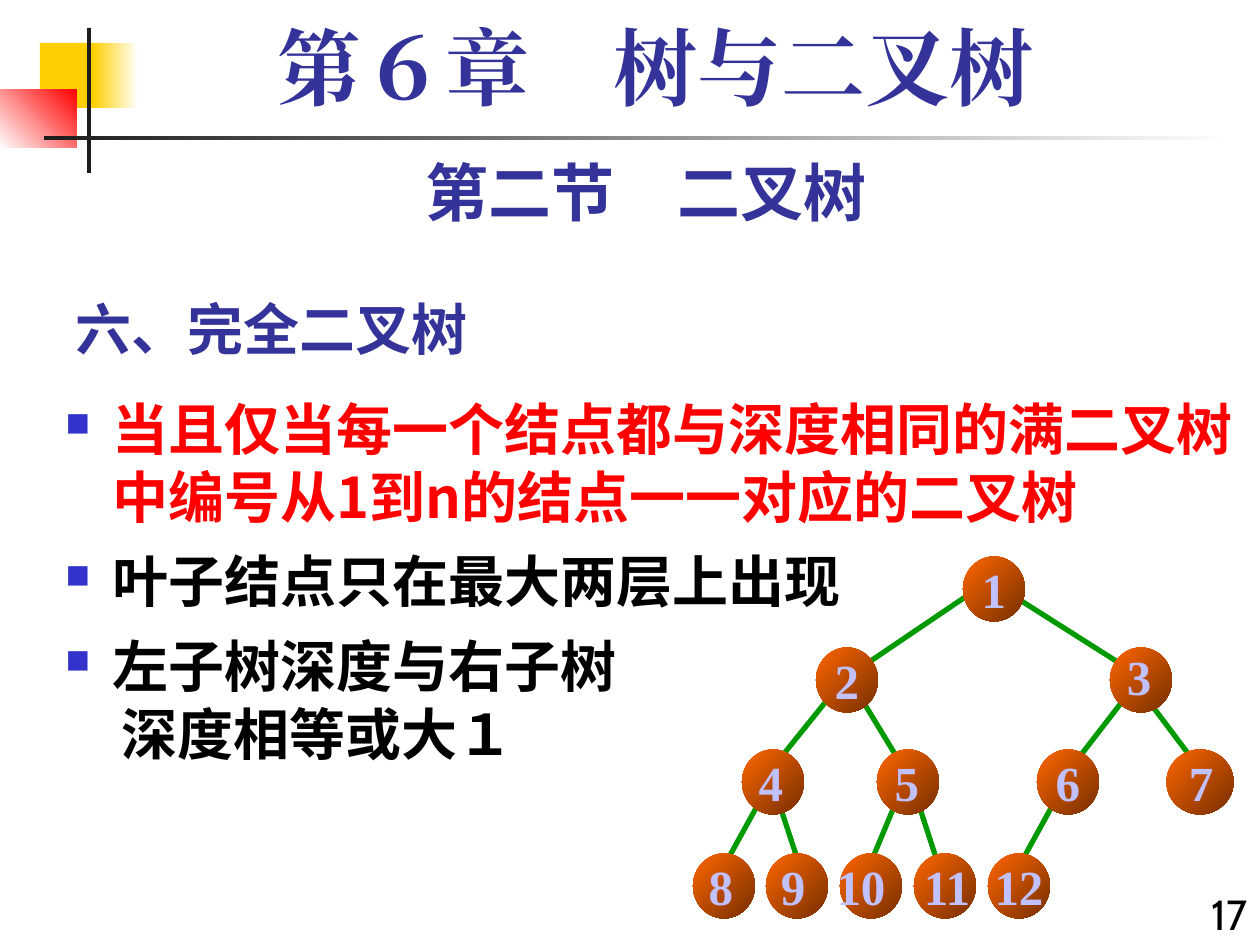
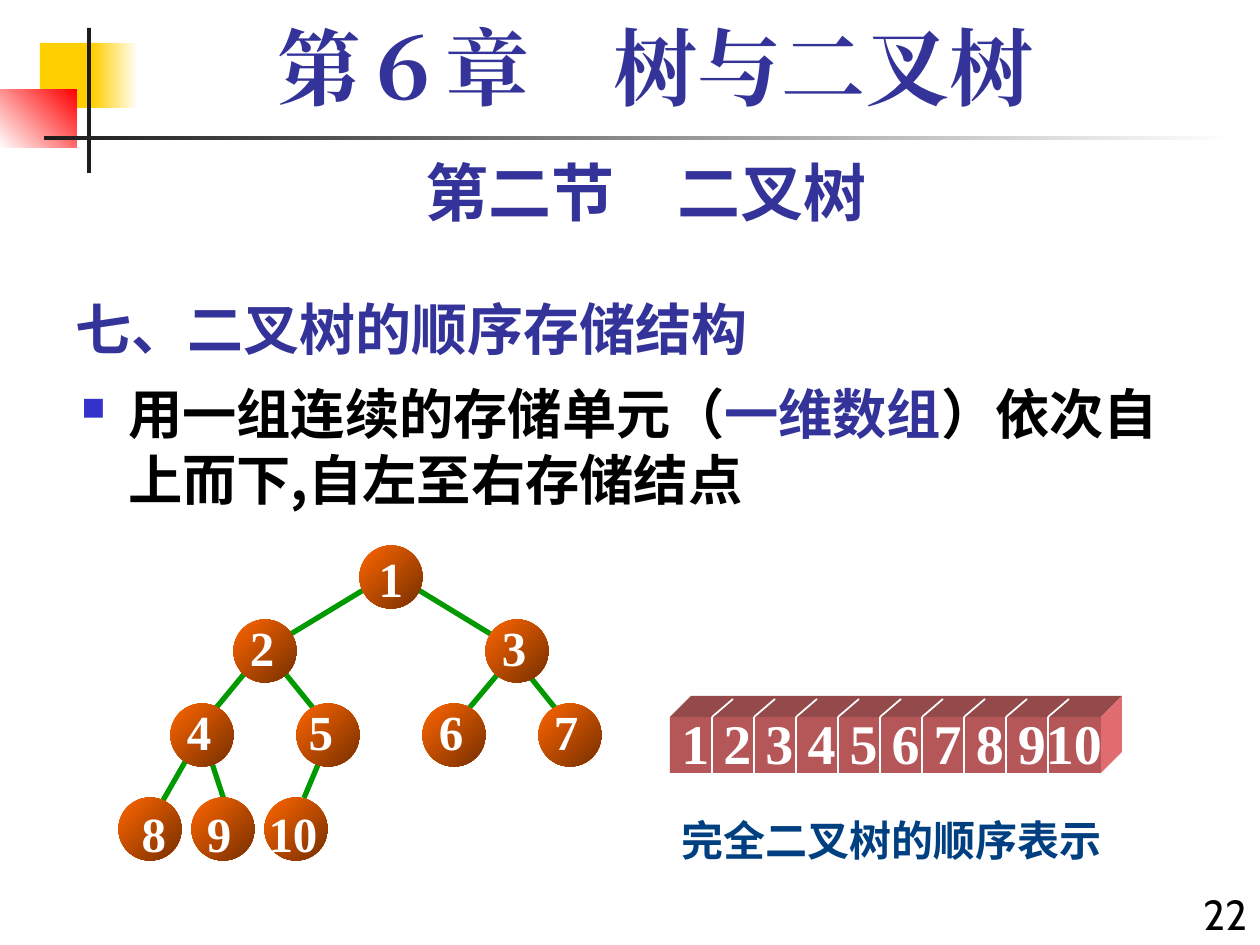
from dataclasses import dataclass
from typing import Optional

from lxml.etree import SubElement
from pptx import Presentation
from pptx.dml.color import RGBColor
from pptx.enum.shapes import MSO_CONNECTOR, MSO_SHAPE
from pptx.enum.text import MSO_ANCHOR, MSO_AUTO_SIZE, PP_ALIGN
from pptx.oxml.ns import qn
from pptx.util import Emu, Pt

SANS, LATIN, SERIF = "Noto Sans CJK SC", "Cabin", "Times New Roman"
NAVY, RED, BLACK, WHITE = "333399", "FF0000", "000000", "FFFFFF"
YELLOW, CHARCOAL, BULLET, GREEN = "FFCF01", "1C1C1C", "3333CC", "009900"
ORANGE, BROWN, LAVENDER, CAPTION = "FF6600", "762F00", "C1C1FF", "004080"
BAR_FRONT, BAR_TOP, BAR_SIDE = "B55659", "944A4B", "E06C70"
HANGING = 47


def px(length: float) -> Emu:
    """126 px to the inch."""
    return Emu(round(length * 914400 / 126))


def rgb(value: str) -> RGBColor:
    return RGBColor.from_string(value)


@dataclass
class Style:
    size: int
    color: str
    font: str = SANS
    bold: bool = True
    align: PP_ALIGN = PP_ALIGN.LEFT
    anchor: MSO_ANCHOR = MSO_ANCHOR.TOP
    wrap: bool = True
    spacing: Optional[float] = None


@dataclass
class Item:
    """A body paragraph; its spans are (text, colour) pairs."""
    spans: list[tuple[str, str]]
    bullet: bool = True


@dataclass
class Node:
    """A tree node by its centre; shift moves the label off the centre."""
    label: str
    x: int
    y: int
    shift: Optional[tuple[int, int]] = None
    width: int = 0


@dataclass
class Tree:
    width: int
    height: int
    label_color: str
    nodes: list[Node]
    edges: list[tuple[int, int, int, int]]


CHAPTER = Style(48, NAVY, SERIF, align=PP_ALIGN.CENTER, spacing=0.9)
SECTION = Style(36, NAVY, LATIN, align=PP_ALIGN.CENTER)
HEADING = Style(32, NAVY, anchor=MSO_ANCHOR.BOTTOM)
NUMBER = Style(24, BLACK, LATIN, bold=False, align=PP_ALIGN.RIGHT)

COMPLETE_TREE = Tree(62, 65, LAVENDER, [
    Node("1", 994, 589), Node("2", 847, 680), Node("3", 1141, 680, (-2, -4)),
    Node("4", 773, 782, (-2, 0)), Node("5", 908, 782, (-1, 0)),
    Node("6", 1068, 782), Node("7", 1200, 782, (1, 0), 67),
    Node("8", 724, 886, (-3, 0)), Node("9", 797, 886, (-4, 0)),
    Node("10", 871, 886, (-10, 0)), Node("11", 945, 886, (2, 0)),
    Node("12", 1019, 886, (0, 0)),
], [
    (1012, 595, 1135, 673), (980, 587, 853, 673), (1147, 699, 1196, 764),
    (1135, 685, 1074, 764), (853, 685, 901, 764), (828, 699, 766, 776),
    (1061, 790, 1012, 879), (914, 790, 939, 867), (901, 790, 864, 879),
    (779, 803, 804, 879), (766, 790, 717, 879),
])

STORED_TREE = Tree(63, 63, WHITE, [
    Node("1", 391, 577, (0, 1)), Node("2", 265, 651, (-3, -4)),
    Node("3", 517, 651, (-3, -4)), Node("4", 202, 735, (-3, -4)),
    Node("5", 328, 735, (-7, -4)), Node("6", 454, 735, (-3, -4)),
    Node("7", 570, 735, (-4, -4)), Node("8", 150, 829, (4, 4)),
    Node("9", 223, 829, (-4, 4)), Node("10", 296, 829, (-3, 4)),
], [
    (523, 668, 564, 719), (508, 662, 460, 719), (271, 656, 318, 714),
    (249, 668, 197, 731), (407, 583, 507, 644), (375, 583, 271, 646),
    (328, 741, 304, 798), (208, 751, 227, 809), (197, 741, 161, 804),
])


# Text
def format_para(para, style: Style) -> None:
    para.alignment = style.align
    if style.spacing:
        para.line_spacing = style.spacing
    elif style.font == SANS:
        para.line_spacing = Pt(round(style.size * 1.21, 1))
    font = para.font
    font.size, font.bold, font.name = Pt(style.size), style.bold, style.font
    font.color.rgb = rgb(style.color)


def set_east_asian(box) -> None:
    """Use each Latin typeface for the Chinese characters as well."""
    for latin in list(box.element.iter(qn("a:latin"))):
        east_asian = SubElement(latin.getparent(), qn("a:ea"))
        east_asian.set("typeface", latin.get("typeface"))
        latin.addnext(east_asian)


def write(box, text: str, style: Style) -> None:
    frame = box.text_frame
    frame.auto_size = MSO_AUTO_SIZE.NONE
    frame.word_wrap = style.wrap
    frame.vertical_anchor = style.anchor
    frame.text = text
    format_para(frame.paragraphs[0], style)
    set_east_asian(box)


def add_text(page, left: int, top: int, width: int, height: int,
             text: str, style: Style) -> None:
    box = page.shapes.add_textbox(px(left), px(top), px(width), px(height))
    write(box, text, style)


def add_bullet(para, visible: bool) -> None:
    properties = para._p.get_or_add_pPr()
    properties.set("marL", str(px(HANGING)))
    properties.set("indent", str(-px(HANGING)))
    if not visible:
        SubElement(properties, qn("a:buNone"))
        return
    color = SubElement(properties, qn("a:buClr"))
    SubElement(color, qn("a:srgbClr")).set("val", BULLET)
    SubElement(properties, qn("a:buSzPct")).set("val", "60000")
    SubElement(properties, qn("a:buChar")).set("char", "■")


def add_body(page, left: int, top: int, width: int, height: int,
             size: int, items: list[Item]) -> None:
    box = page.shapes.add_textbox(px(left), px(top), px(width), px(height))
    frame = box.text_frame
    frame.word_wrap = True
    for index, item in enumerate(items):
        para = frame.add_paragraph() if index else frame.paragraphs[0]
        add_bullet(para, item.bullet)
        if index and item.bullet:
            para.space_before = Pt(round(size * 0.3, 1))
        for text, color in item.spans:
            span = para.add_run()
            span.text = text
            if len(item.spans) > 1:
                span.font.color.rgb = rgb(color)
        format_para(para, Style(size, item.spans[0][1]))
    set_east_asian(box)


# Shapes and lines
def paint(shape, start: str, end: str = "", angle: int = 0) -> None:
    """Fill with one colour, or a gradient at a counter-clockwise angle."""
    shape.shadow.inherit = False
    shape.line.fill.background()
    if end:
        shape.fill.gradient()
        shape.fill.gradient_angle = angle
        for stop, color in zip(shape.fill.gradient_stops, (start, end)):
            stop.color.rgb = rgb(color)
    else:
        shape.fill.solid()
        shape.fill.fore_color.rgb = rgb(start)


def add_shape(page, kind: MSO_SHAPE, left: float, top: float, width: int,
              height: int, start: str, end: str = "", angle: int = 0):
    shape = page.shapes.add_shape(kind, px(left), px(top), px(width), px(height))
    paint(shape, start, end, angle)
    return shape


def add_polygon(page, points: list[tuple[int, int]], color: str) -> None:
    corners = [(px(x), px(y)) for x, y in points]
    builder = page.shapes.build_freeform(*corners[0])
    builder.add_line_segments(corners[1:], close=True)
    paint(builder.convert_to_shape(), color)


def add_line(page, x1: int, y1: int, x2: int, y2: int,
             color: str, width: float) -> None:
    line = page.shapes.add_connector(
        MSO_CONNECTOR.STRAIGHT, px(x1), px(y1), px(x2), px(y2))
    line.line.color.rgb = rgb(color)
    line.line.width = Pt(width)
    SubElement(line.element.spPr, qn("a:effectLst"))


def draw_tree(page, tree: Tree) -> None:
    for edge in tree.edges:
        add_line(page, *edge, GREEN, 3)
    style = Style(28, tree.label_color, SERIF, align=PP_ALIGN.CENTER,
                  anchor=MSO_ANCHOR.MIDDLE, wrap=False)
    for node in tree.nodes:
        width = node.width or tree.width
        disc = add_shape(page, MSO_SHAPE.OVAL, node.x - width / 2,
                         node.y - tree.height / 2, width, tree.height,
                         ORANGE, BROWN, 315)
        if node.shift is None:
            write(disc, node.label, style)
    for node in tree.nodes:
        if node.shift is not None:
            width = 50 if len(node.label) == 1 else 74
            dx, dy = node.shift
            add_text(page, node.x + dx - width // 2, node.y + dy - 36,
                     width, 72, node.label, style)


def draw_array(page) -> None:
    left, top, width, height, depth, cell = 670, 717, 431, 56, 21, 42
    right, bottom = left + width, top + height
    add_shape(page, MSO_SHAPE.RECTANGLE, left, top, width, height, BAR_FRONT)
    add_polygon(page, [(left, top), (left + depth, top - depth),
                       (right + depth, top - depth), (right, top)], BAR_TOP)
    add_polygon(page, [(right, top), (right + depth, top - depth),
                       (right + depth, bottom - depth), (right, bottom)], BAR_SIDE)
    for index in range(1, 10):
        x = left + cell * index
        add_line(page, x, top, x, bottom, WHITE, 1.5)
        add_line(page, x, top, x + depth, top - 18, WHITE, 1)
    add_text(page, 669, 703, 445, 79, "1 2 3 4 5 6 7 8 910",
             Style(32, WHITE, SERIF, anchor=MSO_ANCHOR.MIDDLE, wrap=False))


# Shared by both slides
def decorate_layout(layout, page) -> None:
    """Draw the corner motif and rules, then move them to the layout."""
    blocks = [
        (40, 43, 61, 65, YELLOW),
        (93, 43, 45, 65, YELLOW, WHITE),
        (0, 90, 77, 58, WHITE, RED, 45),
        (87, 28, 4, 145, CHARCOAL),
        (44, 136, 1191, 4, CHARCOAL, WHITE),
    ]
    for block in blocks:
        shape = add_shape(page, MSO_SHAPE.RECTANGLE, *block)
        layout.shapes.element.append(shape.element)


def start_page(page, heading: str, number: str) -> None:
    title = page.shapes.title
    title.left, title.top, title.width, title.height = map(px, (63, 273, 788, 95))
    write(title, heading, HEADING)
    add_text(page, 84, 21, 1144, 105, "第６章　树与二叉树", CHAPTER)
    add_text(page, 63, 147, 1166, 88, "第二节　二叉树", SECTION)
    add_text(page, 1176, 882, 84, 63, number, NUMBER)


def main() -> None:
    deck = Presentation()
    deck.slide_width, deck.slide_height = px(1260), px(945)
    layout = deck.slide_layouts[5]

    # Complete binary tree
    page = deck.slides.add_slide(layout)
    decorate_layout(layout, page)
    start_page(page, "六、完全二叉树", "17")
    add_body(page, 53, 388, 1207, 557, 32, [
        Item([("当且仅当每一个结点都与深度相同的满二叉树中编号从1到n的结点一一对应的二叉树", RED)]),
        Item([("叶子结点只在最大两层上出现", BLACK)]),
        Item([("左子树深度与右子树", BLACK)]),
        Item([("　深度相等或大１", BLACK)], bullet=False),
    ])
    draw_tree(page, COMPLETE_TREE)

    # Sequential storage
    page = deck.slides.add_slide(layout)
    start_page(page, "七、二叉树的顺序存储结构", "22")
    add_body(page, 69, 374, 1123, 212, 31, [
        Item([("用一组连续的存储单元（", BLACK), ("一维数组", NAVY),
              ("）依次自上而下,自左至右存储结点", BLACK)]),
    ])
    add_text(page, 669, 808, 486, 110, "完全二叉树的顺序表示", Style(24, CAPTION))
    draw_array(page)
    draw_tree(page, STORED_TREE)

    deck.save("out.pptx")


if __name__ == "__main__":
    main()
